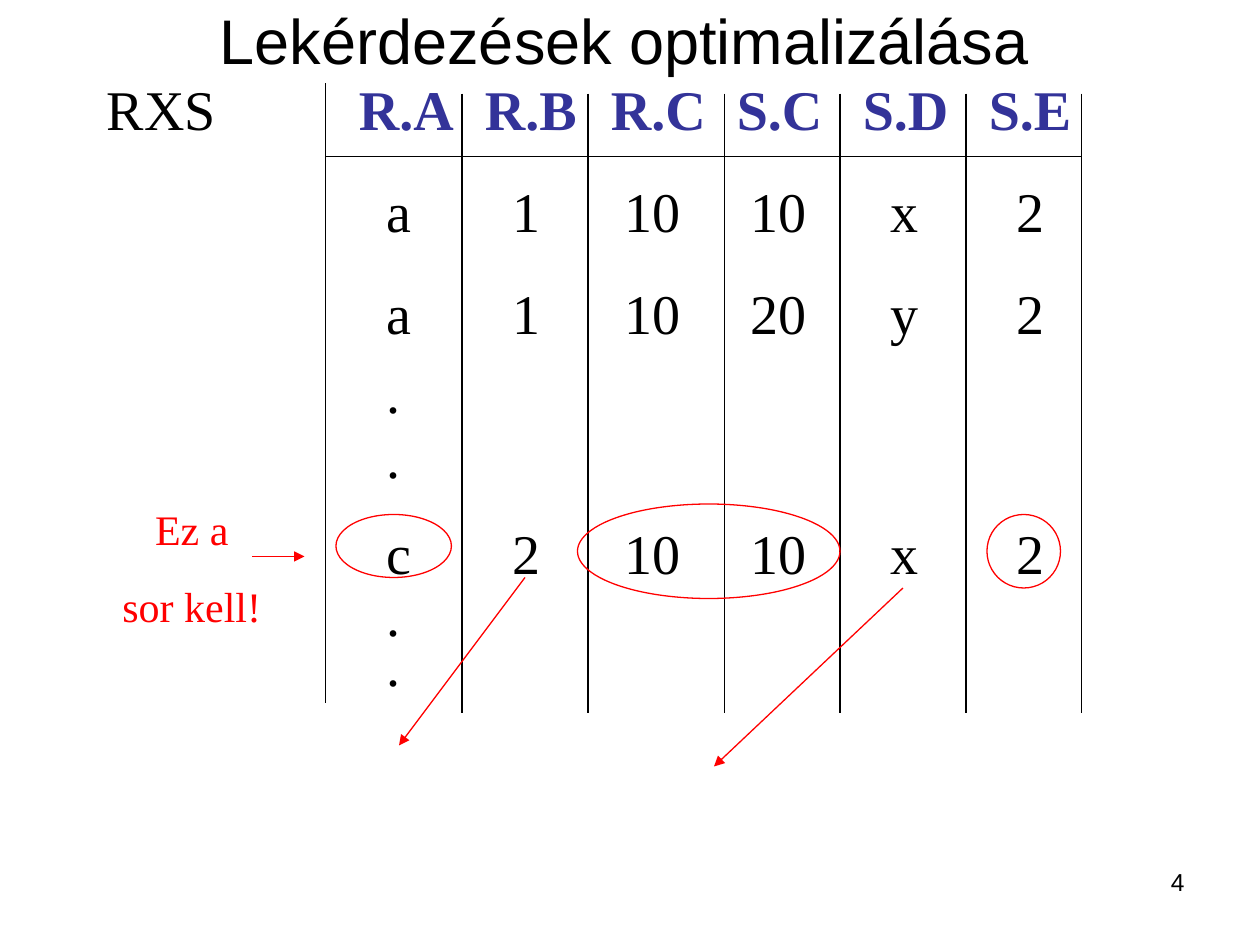
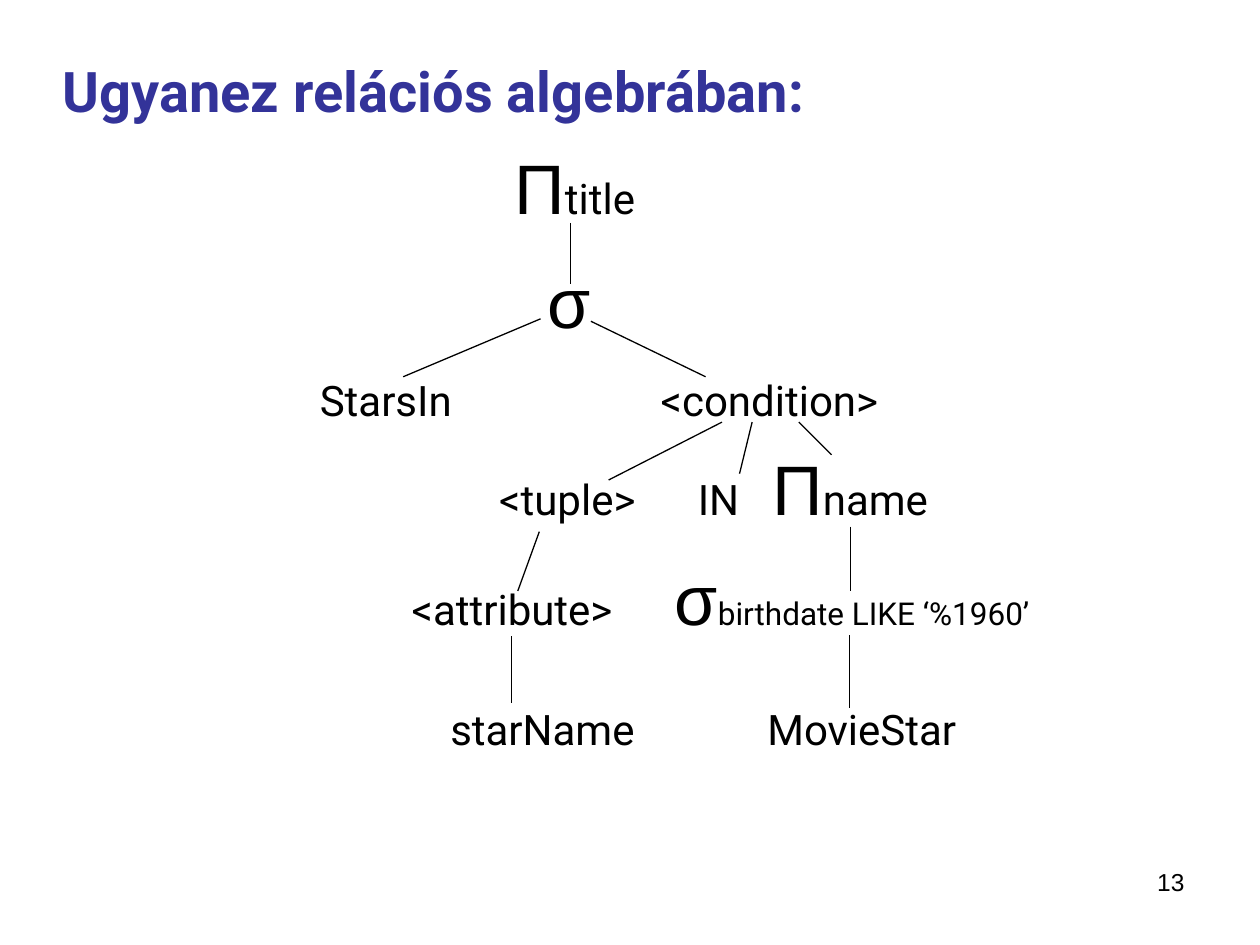
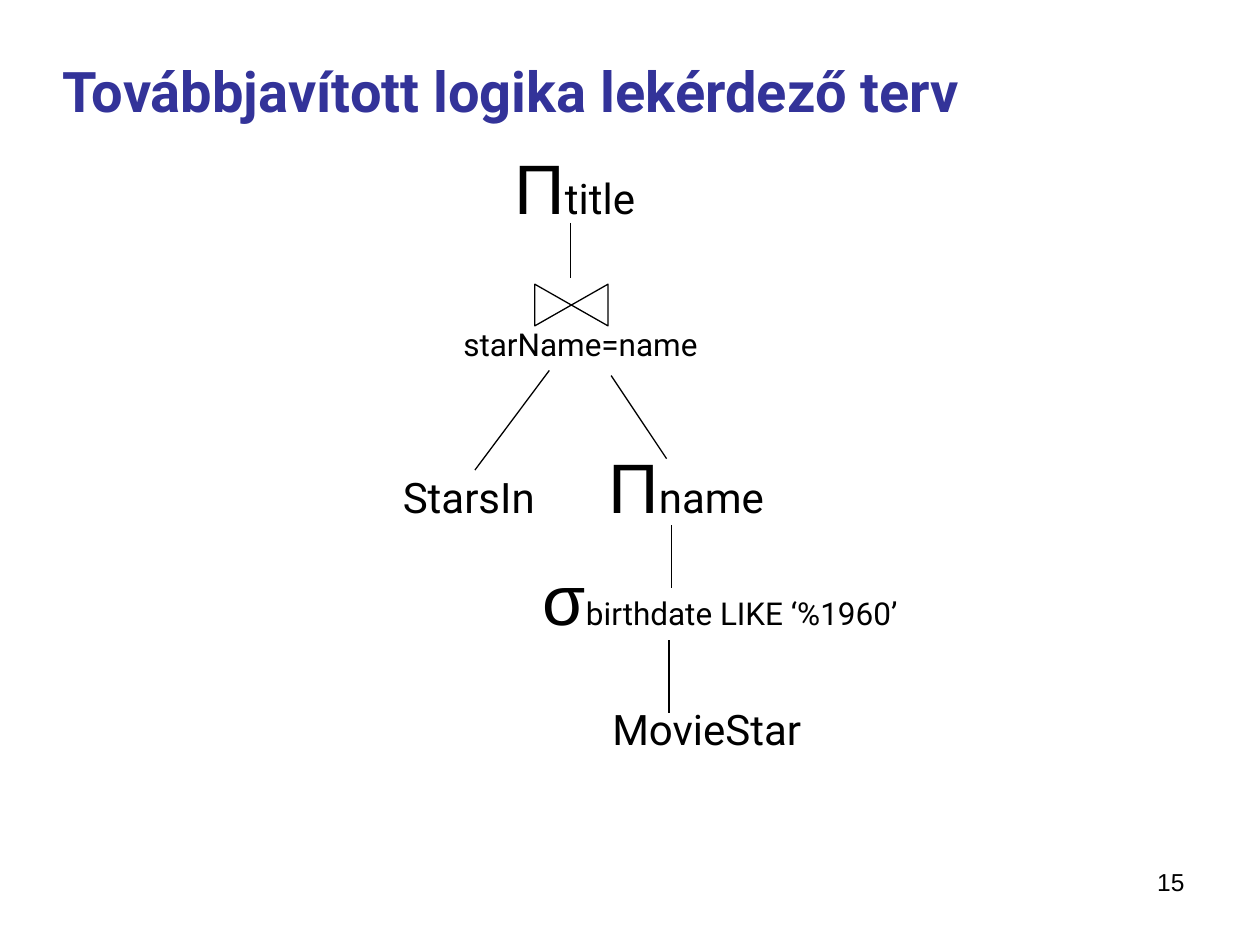
from lxml.etree import SubElement
from pptx import Presentation
from pptx.dml.color import RGBColor
from pptx.enum.shapes import MSO_CONNECTOR, MSO_SHAPE
from pptx.enum.text import MSO_ANCHOR as ANCHOR, MSO_AUTO_SIZE as AUTO, PP_ALIGN as ALIGN
from pptx.oxml.ns import qn
from pptx.util import Pt

BLACK, WHITE, RED, NAVY = "000000", "FFFFFF", "FF0000", "333399"
SANS, SERIF, ROBOTO = "Arial", "Times New Roman", "Roboto"
LINE_WIDTH = 0.75
INSET = 7.2


def rgb(value):
    return RGBColor.from_string(value)


def set_all(target, values):
    for name, value in values.items():
        setattr(target, name, value)


def font(name, size, color=BLACK, bold=False):
    return {"name": name, "size": Pt(size), "bold": bold, "color": color}


OPERATOR, LABEL, DETAIL = font(SANS, 40), font(ROBOTO, 24), font(ROBOTO, 18)
PROJECT_NAME = [("Π", OPERATOR), ("name", LABEL)]
SELECT_BIRTH = [("σ", OPERATOR), ("birthdate LIKE ‘%1960’", DETAIL)]


class Deck:
    def __init__(self):
        self.prs = Presentation()
        set_all(self.prs, {"slide_width": Pt(720), "slide_height": Pt(540)})
        self.s = None

    def slide(self, number):
        self.s = self.prs.slides.add_slide(self.prs.slide_layouts[6])
        self.text((516.2, 491.8, 167.8, 37.4), anchor=ANCHOR.TOP)
        self.paragraph([(str(number), font(SANS, 14))], alignment=ALIGN.RIGHT)

    def text(self, box, anchor=ANCHOR.MIDDLE, wrap=True, grow=False):
        """Start an empty text box that paragraph() then fills."""
        self.tf = self.s.shapes.add_textbox(*map(Pt, box)).text_frame
        set_all(self.tf, {"word_wrap": wrap, "vertical_anchor": anchor,
                          "auto_size": AUTO.SHAPE_TO_FIT_TEXT if grow else AUTO.NONE})

    def paragraph(self, runs, tabs=(), **fmt):
        p = self.tf.paragraphs[0]
        if p.runs:
            p = self.tf.add_paragraph()
        set_all(p, fmt)
        for text, style in runs:
            r = p.add_run()
            r.text = text
            set_all(r.font, {k: v for k, v in style.items() if k != "color"})
            r.font.color.rgb = rgb(style["color"])
        if tabs:
            tab_list = SubElement(p._p.get_or_add_pPr(), qn("a:tabLst"))
            for pos in tabs:
                SubElement(tab_list, qn("a:tab"), pos=str(Pt(pos)), algn="l")

    def heading(self, text):
        self.text((28.8, 16.6, 659.5, 69.8))
        self.paragraph([(text, font(ROBOTO, 32, NAVY, True))])

    def tree_row(self, x, cy, width, runs, tabs=()):
        """One level of a tree: text starts at x, further nodes at the tabs (slide positions)."""
        height = 1.2 * max(style["size"].pt for _, style in runs) + INSET
        self.text((x - INSET, cy - height / 2, width, height), grow=True)
        self.paragraph(runs, [round(t - x, 2) for t in tabs])

    def line(self, x1, y1, x2, y2, color=BLACK, arrow=False):
        sp = self.s.shapes.add_connector(MSO_CONNECTOR.STRAIGHT, *map(Pt, (x1, y1, x2, y2)))
        sp.line.width = Pt(LINE_WIDTH)
        sp.line.color.rgb = rgb(color)
        if arrow:
            SubElement(sp.line._get_or_add_ln(), qn("a:tailEnd"), type="triangle")
        SubElement(sp._element.spPr, qn("a:effectLst"))

    def shape(self, kind, box, color=BLACK, fill=None, rotation=0):
        sp = self.s.shapes.add_shape(kind, *map(Pt, box))
        sp.rotation = rotation
        sp.shadow.inherit = False
        sp.line.width = Pt(LINE_WIDTH)
        sp.line.color.rgb = rgb(color)
        if fill:
            sp.fill.solid()
            sp.fill.fore_color.rgb = rgb(fill)
        else:
            sp.fill.background()


def product_slide(d):
    d.slide(4)
    head_tabs = [144 + 72 * i for i in range(6)]
    body_tabs = [t + shift for t, shift in zip(head_tabs, (16, 16, 8, 8, 16, 16))]
    plain, head = font(SERIF, 32), font(SERIF, 32, NAVY, True)
    rows = [("a 1 10 10 x 2", 1), ("a 1 10 20 y 2", 1), (".", 0.6), (".", 0.4),
            ("c 2 10 10 x 2", 1), (".", 0.3), (".", 0.2)]
    d.text((54, 38.9, 588.2, 358.6), grow=True)
    d.paragraph([("RXS\t", plain), ("R.A\tR.B\tR.C\tS.C\tS.D\tS.E", head)],
                head_tabs, space_before=Pt(20))
    for row, spacing in rows:
        d.paragraph([("\t" + row.replace(" ", "\t"), plain)], body_tabs,
                    space_before=Pt(20), line_spacing=spacing)

    left, right, top, length = 186, 618, 53.5, 354.2
    d.line(left, 89.3, right, 89.3)
    d.line(left, 47.5, left, 47.5 + length)
    for x in (264, 336, 414, 480, 552, right):
        d.line(x, top, x, top + length)

    for box in ((564, 294, 42, 42), (330, 288, 150, 54), (192, 294, 66, 36)):
        d.shape(MSO_SHAPE.OVAL, box, RED)
    for ends in ((300, 330, 228, 426), (516, 336, 408, 438), (144, 318, 174, 318)):
        d.line(*ends, RED, arrow=True)

    d.text((62.8, 284.2, 93.6, 79.9), wrap=False, grow=True)
    for text in ("Ez a", "sor kell!"):
        d.paragraph([(text, font(SERIF, 24, RED))], alignment=ALIGN.CENTER, space_before=Pt(15))
    d.text((36, 11.5, 641.5, 21.6))
    d.paragraph([("Lekérdezések optimalizálása", font(SANS, 36))], alignment=ALIGN.CENTER)


def tree_slide(d, number, heading):
    """Heading and the root that both query trees share."""
    d.slide(number)
    d.heading(heading)
    d.tree_row(294.1, 106.5, 92, [("Π", OPERATOR), ("title", LABEL)])


def algebra_slide(d):
    tree_slide(d, 13, "Ugyanez relációs algebrában:")
    d.tree_row(313.1, 171.7, 42, [("σ", OPERATOR)])
    d.tree_row(182.9, 228.2, 352, [("StarsIn\t<condition>", LABEL)], [377.7])
    d.tree_row(285.4, 278.3, 278, [("<tuple>\tIN\t", LABEL)] + PROJECT_NAME, [398.9, 441.5])
    d.tree_row(235.4, 341.6, 389, [("<attribute>\t", LABEL)] + SELECT_BIRTH, [385.7])
    d.tree_row(257.4, 416.2, 320, [("starName\tMovieStar", LABEL)], [438.6])
    for ends in ((326.2, 127.4, 326.2, 162), (308.9, 182.2, 230.4, 215.3),
                 (337.7, 183.6, 403.2, 215.3), (412.6, 241.2, 347.8, 274.3),
                 (429.8, 241.2, 422.6, 270.7), (456.5, 241.2, 475.2, 259.9),
                 (308.2, 303.8, 295.9, 337.7), (292.3, 363.6, 292.3, 401.8),
                 (486, 301, 486, 337.7), (485.3, 362.9, 485.3, 404.6)):
        d.line(*ends)


def improved_slide(d):
    tree_slide(d, 15, "Továbbjavított logika lekérdező terv")
    d.tree_row(264.9, 196.6, 160, [("starName=name", DETAIL)])
    d.tree_row(230.3, 277.6, 315, [("StarsIn\t", LABEL)] + PROJECT_NAME, [347.8])
    d.tree_row(310.3, 341.6, 226, SELECT_BIRTH)
    d.tree_row(350, 416.2, 134, [("MovieStar", LABEL)])
    for ends in ((326.2, 127.4, 326.2, 159.1), (383.8, 300.2, 383.8, 336.2),
                 (382.3, 365.8, 382.3, 407.5), (313.9, 211.7, 271.4, 268.6),
                 (349.2, 214.6, 380.9, 262.1)):
        d.line(*ends)
    d.shape(MSO_SHAPE.FLOWCHART_COLLATE, (314.6, 153.4, 23.8, 41.8), fill=WHITE, rotation=270)


def main():
    d = Deck()
    product_slide(d)
    algebra_slide(d)
    improved_slide(d)
    d.prs.save("out.pptx")


if __name__ == "__main__":
    main()
